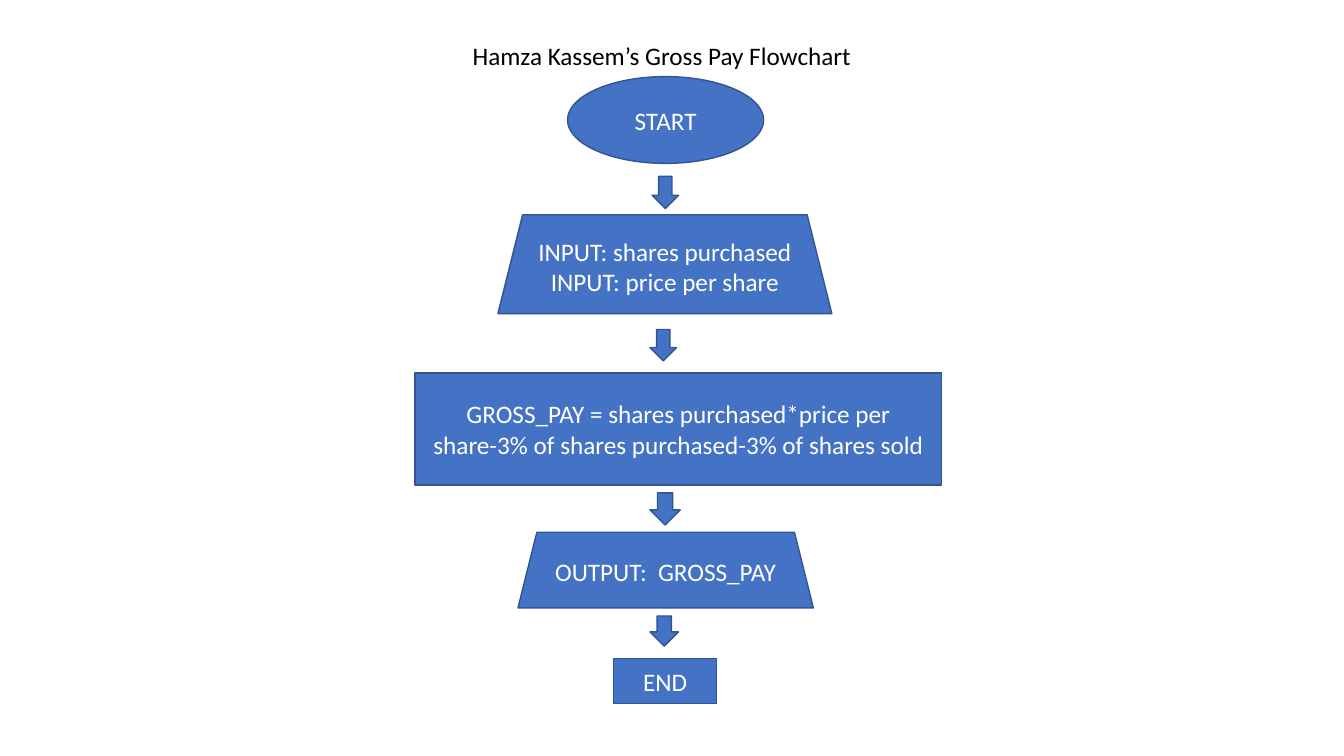
from pptx import Presentation
from pptx import util as u
from pptx.dml.color import RGBColor
from pptx.enum import shapes, text

Pt = u.Pt
MSO = shapes.MSO_SHAPE
COLORS = {"fill": "4472C4", "line": "325491", "light": "FFFFFF", "dark": "000000"}


def add_text(tf, lines, color, align):
    """Write one 18 pt paragraph per line into a text frame."""
    tf.word_wrap = True
    for i, line in enumerate(lines):
        p = tf.add_paragraph() if i else tf.paragraphs[0]
        p.alignment = align
        r = p.add_run()
        r.text = line
        r.font.name = "Calibri"
        r.font.size = Pt(18)
        r.font.color.rgb = RGBColor.from_string(COLORS[color])


def add_block(s, kind, box):
    """Add a blue outlined shape at box (left, top, width, height)."""
    sp = s.shapes.add_shape(kind, *map(Pt, box))
    sp.shadow.inherit = False
    sp.fill.solid()
    sp.fill.fore_color.rgb = RGBColor.from_string(COLORS["fill"])
    sp.line.color.rgb = RGBColor.from_string(COLORS["line"])
    sp.line.width = Pt(1)
    return sp


prs = Presentation()
prs.slide_width, prs.slide_height = Pt(960), Pt(540)
s = prs.slides.add_slide(prs.slide_layouts[6])

title = s.shapes.add_textbox(Pt(330.5), Pt(25.2), Pt(289.5), Pt(29))
add_text(title.text_frame, ["Hamza Kassem’s Gross Pay Flowchart"], "dark", text.PP_ALIGN.LEFT)

steps = [
    (MSO.OVAL, (405.4, 54.7, 140, 62), ["START"]),
    (MSO.TRAPEZOID, (355.7, 153.4, 238.5, 70.6),
     ["INPUT: shares purchased", "INPUT: price per share"]),
    (MSO.RECTANGLE, (296.6, 266.4, 376, 80),
     ["GROSS_PAY = shares purchased*price per share-3% of shares purchased"
      "-3% of shares sold"]),
    (MSO.TRAPEZOID, (370, 380.2, 211, 54), ["OUTPUT:  GROSS_PAY"]),
    (MSO.RECTANGLE, (438.3, 470.2, 73.5, 32.5), ["END"]),
]
for kind, box, lines in steps:
    tf = add_block(s, kind, box).text_frame
    tf.vertical_anchor = text.MSO_ANCHOR.MIDDLE
    add_text(tf, lines, "light", text.PP_ALIGN.CENTER)

arrows = [
    (465.8, 126, 19, 23),
    (464.3, 235.4, 19, 22.3),
    (464.3, 352, 21.6, 23),
    (464.3, 440, 20.4, 21.6),
]
for box in arrows:
    add_block(s, MSO.DOWN_ARROW, box)

prs.save("out.pptx")
